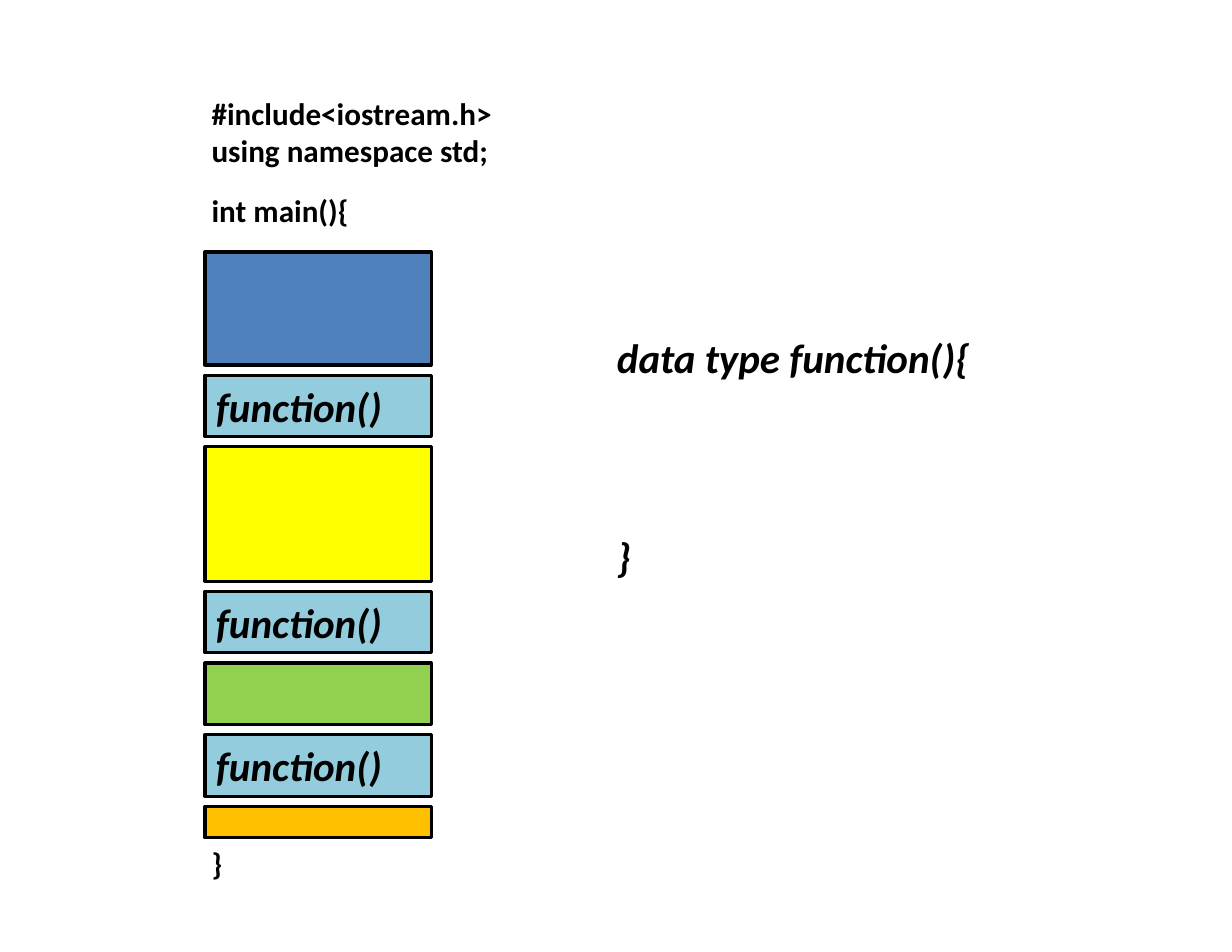
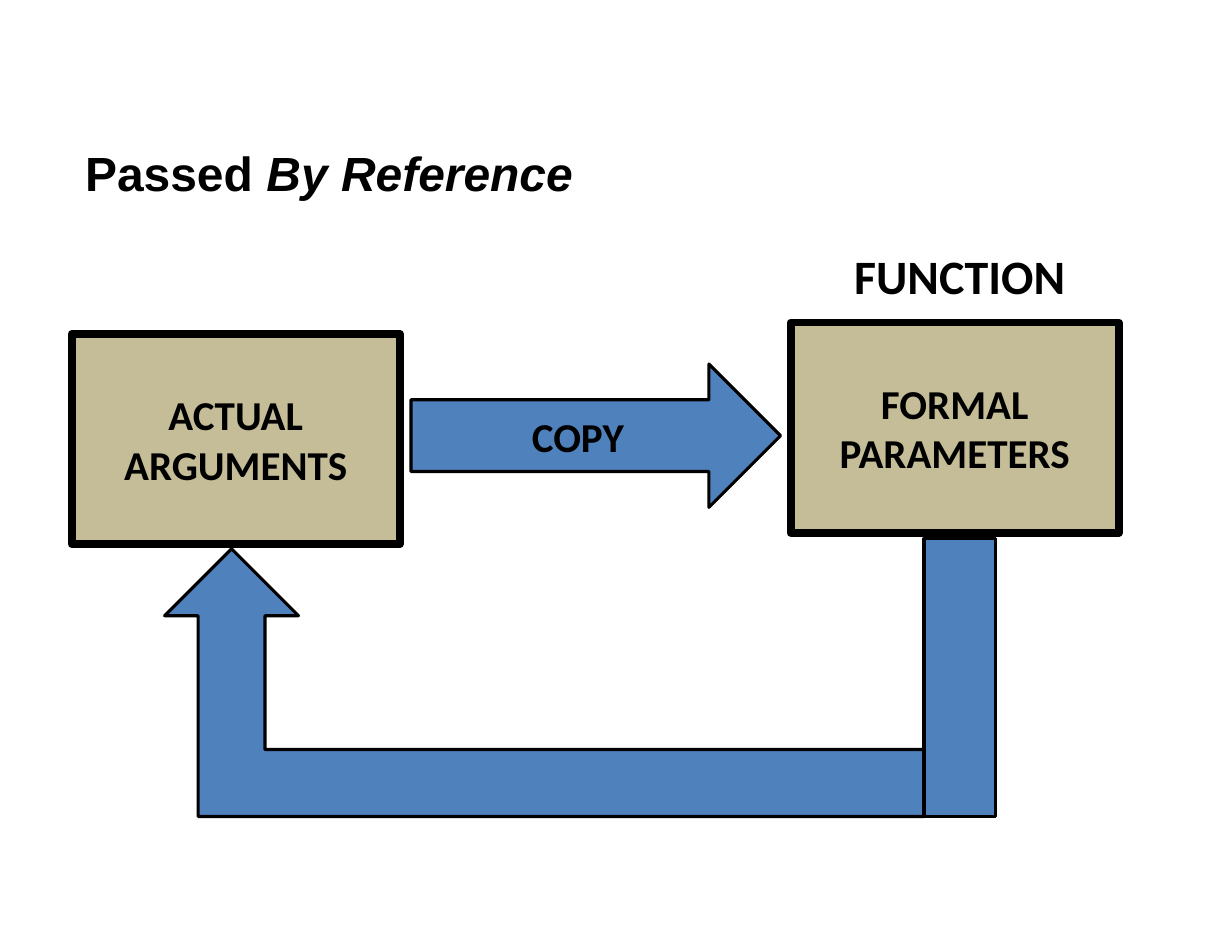
import pptx
import pptx.dml.color
import pptx.enum.shapes
import pptx.enum.text
import pptx.util

Inches, Pt = pptx.util.Inches, pptx.util.Pt
SHAPE = pptx.enum.shapes.MSO_SHAPE
ALIGN = pptx.enum.text.PP_ALIGN
ANCHOR = pptx.enum.text.MSO_ANCHOR

BLACK, BLUE, CYAN, TAN = "000000", "4F81BD", "93CDDD", "C4BD97"
YELLOW, GREEN, ORANGE = "FFFF00", "92D050", "FFC000"
CODE, LABEL, HEADING = 20, 26.4, 30.8


def color(hex_code):
    """Turn a hex string into a colour."""
    return pptx.dml.color.RGBColor.from_string(hex_code)


def add_run(p, text, size, italic=False, font="Calibri"):
    """Add a bold black run to a paragraph."""
    r = p.add_run()
    r.text = text
    r.font.name, r.font.size = font, Pt(size)
    r.font.bold, r.font.italic = True, italic
    r.font.color.rgb = color(BLACK)


def write(sp, lines, size, italic=False, align=ALIGN.LEFT, anchor=ANCHOR.TOP):
    """Write (text, space before) lines into a shape."""
    tf = sp.text_frame
    tf.word_wrap, tf.vertical_anchor = True, anchor
    for i, (text, space) in enumerate(lines):
        p = tf.add_paragraph() if i else tf.paragraphs[0]
        p.alignment = align
        if space:
            p.space_before = Pt(space)
        add_run(p, text, size, italic)


def add_text(slide, x, y, w, h, lines, size, **style):
    """Add a text box holding the given lines."""
    sp = slide.shapes.add_textbox(Inches(x), Inches(y), Inches(w), Inches(h))
    write(sp, lines, size, **style)


def add_block(slide, kind, x, y, w, h, fill, line=2):
    """Add a filled shape with a black outline."""
    sp = slide.shapes.add_shape(kind, Inches(x), Inches(y), Inches(w), Inches(h))
    sp.shadow.inherit = False
    sp.fill.solid()
    sp.fill.fore_color.rgb = color(fill)
    sp.line.color.rgb = color(BLACK)
    sp.line.width = Pt(line)
    return sp


def add_program_stack(slide, x, y, w, gap=0.09):
    """Stack the statement blocks of main() and its function calls."""
    call = (0.55, CYAN, "function()")
    blocks = [(1.01, BLUE, ""), call, (1.2, YELLOW, ""), call,
              (0.55, GREEN, ""), call, (0.28, ORANGE, "")]
    for h, fill, text in blocks:
        sp = add_block(slide, SHAPE.RECTANGLE, x, y, w, h, fill)
        if text:
            write(sp, [(text, 0)], LABEL, italic=True, anchor=ANCHOR.MIDDLE)
        y += h + gap


def add_title(slide, x, y, w, h):
    """Place the title with its second part in italics."""
    sp = slide.shapes.title
    sp.left, sp.top, sp.width, sp.height = map(Inches, (x, y, w, h))
    tf = sp.text_frame
    tf.auto_size = pptx.enum.text.MSO_AUTO_SIZE.NONE
    tf.word_wrap, tf.vertical_anchor = False, ANCHOR.TOP
    p = tf.paragraphs[0]
    p.alignment = ALIGN.LEFT
    add_run(p, "Passed ", HEADING, font="Arial")
    add_run(p, "By Reference", HEADING, italic=True, font="Arial")


def add_value_box(slide, x, y, w, h, lines):
    """Add a thick-edged tan box with centred lines."""
    sp = add_block(slide, SHAPE.RECTANGLE, x, y, w, h, TAN, line=5)
    write(sp, [(text, 0) for text in lines], LABEL,
          align=ALIGN.CENTER, anchor=ANCHOR.MIDDLE)


def add_return_path(slide, x, y, w, h, stem):
    """Lead from the function back up to the arguments."""
    sp = add_block(slide, SHAPE.BENT_UP_ARROW, x, y + 0.09, w - stem, h - 0.09, BLUE)
    sp.element.spPr.xfrm.set("flipH", "1")
    add_block(slide, SHAPE.RECTANGLE, x + w - stem, y, stem, h, BLUE)


def program_slide(prs):
    """Show main() calling a function several times."""
    slide = prs.slides.add_slide(prs.slide_layouts[6])
    add_text(slide, 1.79, 0.79, 4.12, 7.34,
             [("#include<iostream.h>", 0), ("using namespace std;", 0),
              ("int main(){", 14.5), ("}", 396)], CODE)
    add_program_stack(slide, 1.83, 2.25, 2.02)
    add_text(slide, 5.41, 2.92, 4.12, 2.32,
             [("data type function(){", 0), ("}", 96)], LABEL, italic=True)


def reference_slide(prs):
    """Show arguments copied to parameters and back."""
    slide = prs.slides.add_slide(prs.slide_layouts[5])
    add_title(slide, 0.66, 1.23, 4.71, 0.62)
    add_value_box(slide, 0.64, 2.98, 2.93, 1.88, ["ACTUAL", "ARGUMENTS"])
    add_value_box(slide, 7.06, 2.88, 2.93, 1.88, ["FORMAL PARAMETERS"])
    sp = add_block(slide, SHAPE.RIGHT_ARROW, 3.67, 3.25, 3.3, 1.28, BLUE)
    write(sp, [("COPY", 0)], LABEL, align=ALIGN.CENTER, anchor=ANCHOR.MIDDLE)
    add_text(slide, 7.15, 2.15, 2.84, 0.62, [("FUNCTION", 0)], HEADING,
             align=ALIGN.CENTER)
    add_return_path(slide, 1.47, 4.81, 7.42, 2.48, 0.64)


def main():
    """Build both slides and save the file."""
    prs = pptx.Presentation()
    prs.slide_width, prs.slide_height = Inches(11), Inches(8.5)
    program_slide(prs)
    reference_slide(prs)
    prs.save("out.pptx")


if __name__ == "__main__":
    main()
